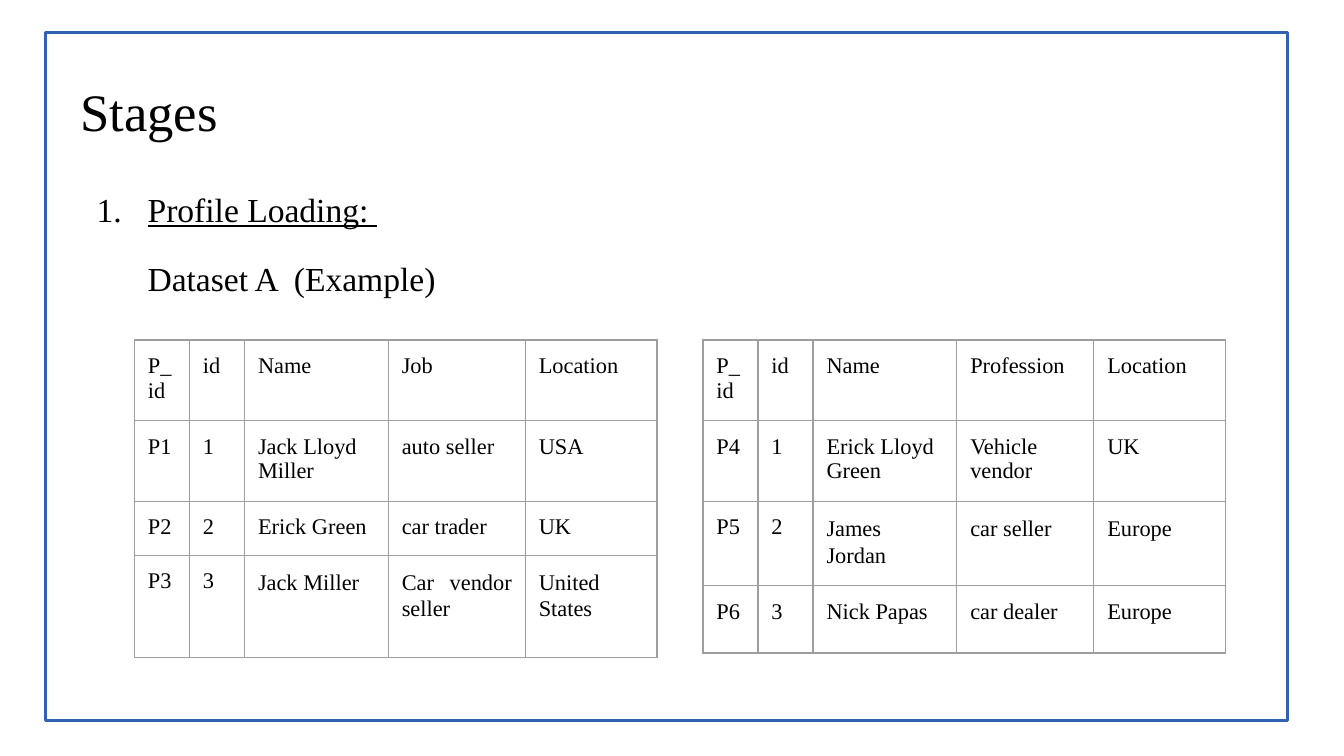
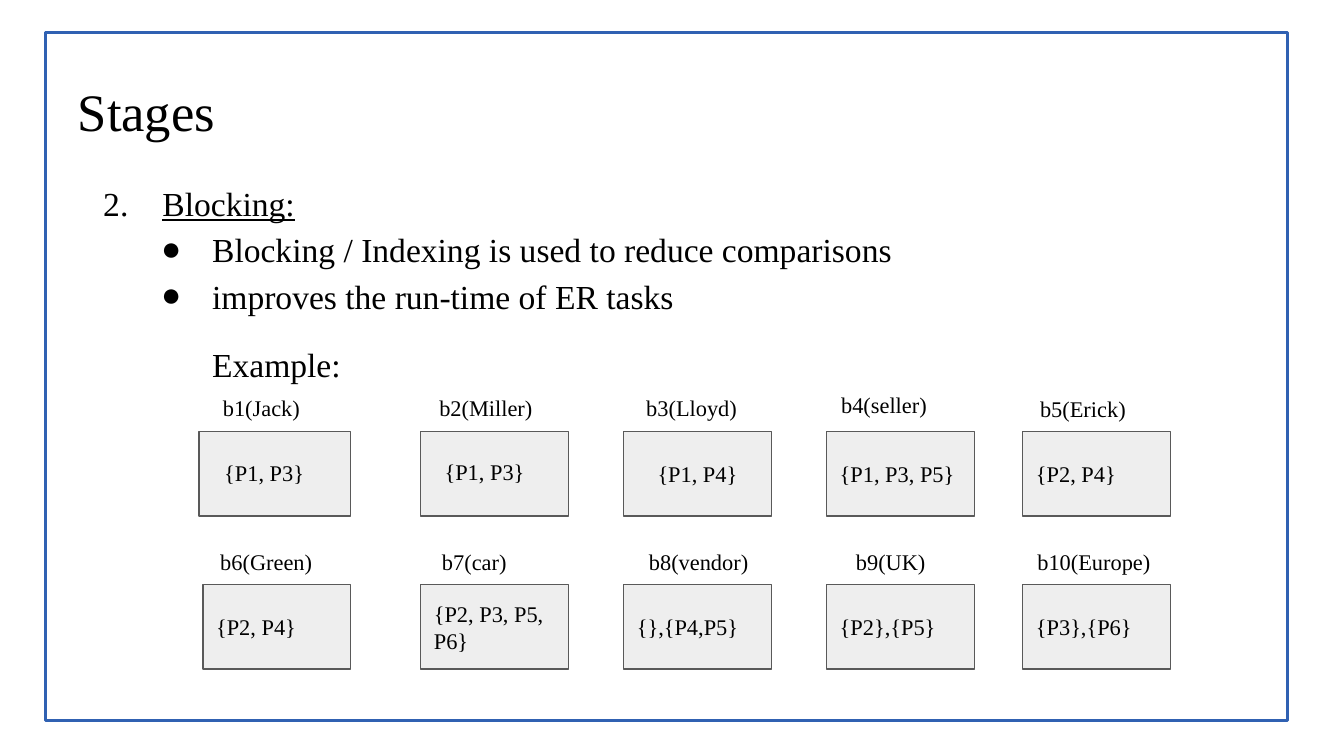
import pptx
import pptx.util
import pptx.dml.color
import pptx.enum.shapes
import pptx.enum.text
import pptx.oxml
import pptx.oxml.ns

COLOURS = {"text": "000000", "frame": "3061B2", "grid": "9E9E9E", "box": "EEEEEE", "box_line": "595959"}
FONT = "Times New Roman"
ANCHOR = pptx.enum.text.MSO_ANCHOR
ALIGN = pptx.enum.text.PP_ALIGN
NAMESPACE = pptx.oxml.ns.nsdecls("a")


def inches(value):
    """Turn inches into a length given in centimetres."""
    return pptx.util.Cm(value * 2.54)


def colour(name):
    """Look up a named colour."""
    return pptx.dml.color.RGBColor.from_string(COLOURS[name])


class Deck:
    """Holds the style and the current slide."""

    def __init__(self):
        """Start an empty presentation."""
        self.presentation = pptx.Presentation()
        self.presentation.slide_width = inches(10)
        self.presentation.slide_height = inches(5.625)
        self.slide = None

    def start(self, title, left, width):
        """Add a blank slide with its title."""
        self.slide = self.presentation.slides.add_slide(self.presentation.slide_layouts[6])
        self.label(title, left, 0.49, width, 0.63, size=28.2)

    def style(self, paragraph, size, underline=None):
        """Set the shared font on a paragraph."""
        paragraph.font.name = FONT
        paragraph.font.size = pptx.util.Pt(size)
        paragraph.font.color.rgb = colour("text")
        paragraph.font.underline = underline

    def frame_text(self, frame, anchor=ANCHOR.TOP):
        """Set wrapping, margins and anchor of a text frame."""
        frame.word_wrap = True
        frame.vertical_anchor = anchor
        frame.margin_left = frame.margin_right = inches(0.1)
        frame.margin_top = frame.margin_bottom = inches(0.1)

    def label(self, text, left, top, width, height=0.4, size=12):
        """Add a one-paragraph text box."""
        shape = self.slide.shapes.add_textbox(*map(inches, (left, top, width, height)))
        self.frame_text(shape.text_frame)
        paragraph = shape.text_frame.paragraphs[0]
        paragraph.text = text
        self.style(paragraph, size)

    def body(self, left, top, width, height, lines):
        """Add body text from (text, margin, indent, bullet, spacing, before, underline) lines."""
        shape = self.slide.shapes.add_textbox(*map(inches, (left, top, width, height)))
        frame = shape.text_frame
        self.frame_text(frame)
        for index, (text, margin, indent, bullet, spacing, before, underline) in enumerate(lines):
            paragraph = frame.add_paragraph() if index else frame.paragraphs[0]
            paragraph.text = text
            paragraph.line_spacing = spacing
            paragraph.space_before = pptx.util.Pt(before)
            self.style(paragraph, 18, underline)
            self.bullet(paragraph, margin, indent, bullet)

    def bullet(self, paragraph, margin, indent, bullet):
        """Indent a paragraph and give it a number or a bullet sign."""
        properties = paragraph._p.get_or_add_pPr()
        properties.set("marL", str(inches(margin)))
        properties.set("indent", str(inches(indent)))
        if isinstance(bullet, int):
            marks = [f'<a:buFont {NAMESPACE} typeface="{FONT}"/>',
                     f'<a:buAutoNum {NAMESPACE} type="arabicPeriod" startAt="{bullet}"/>']
        elif bullet:
            marks = [f'<a:buFont {NAMESPACE} typeface="{FONT}"/>',
                     f'<a:buChar {NAMESPACE} char="{bullet}"/>']
        else:
            marks = [f"<a:buNone {NAMESPACE}/>"]
        default = properties.find(pptx.oxml.ns.qn("a:defRPr"))
        for mark in marks:
            default.addprevious(pptx.oxml.parse_xml(mark))

    def rectangle(self, left, top, width, height, line, weight, fill=None, text=None, align=ALIGN.LEFT):
        """Add an outlined rectangle, filled and captioned if asked."""
        kind = pptx.enum.shapes.MSO_SHAPE.RECTANGLE
        shape = self.slide.shapes.add_shape(kind, *map(inches, (left, top, width, height)))
        shape.shadow.inherit = False
        shape.line.color.rgb = colour(line)
        shape.line.width = pptx.util.Pt(weight)
        if fill:
            shape.fill.solid()
            shape.fill.fore_color.rgb = colour(fill)
        else:
            shape.fill.background()
        if text:
            self.frame_text(shape.text_frame, ANCHOR.MIDDLE)
            paragraph = shape.text_frame.paragraphs[0]
            paragraph.text = text
            paragraph.alignment = align
            self.style(paragraph, 12)

    def border(self):
        """Draw the frame around the slide."""
        self.rectangle(0.34, 0.24, 9.24, 5.12, "frame", 1.5)

    def table(self, left, top, widths, heights, rows, justified_row):
        """Add a plain grid; one row has its last three cells justified."""
        shape = self.slide.shapes.add_table(
            len(rows), len(widths), *map(inches, (left, top, sum(widths), sum(heights))))
        table = shape.table
        table.first_row = table.horz_banding = False
        for column, width in zip(table.columns, widths):
            column.width = inches(width)
        for row, height in zip(table.rows, heights):
            row.height = inches(height)
        for row_index, texts in enumerate(rows):
            for column_index, text in enumerate(texts):
                justified = row_index == justified_row and column_index >= 2
                self.cell(table.cell(row_index, column_index), text, justified)

    def cell(self, cell, text, justified):
        """Fill in one table cell and draw its borders."""
        cell.margin_left = cell.margin_right = inches(0.1)
        cell.margin_top = cell.margin_bottom = inches(0.1)
        paragraph = cell.text_frame.paragraphs[0]
        paragraph.text = text
        self.style(paragraph, 12)
        if justified:
            paragraph.alignment = ALIGN.JUSTIFY
            paragraph.line_spacing = 1.07
        properties = cell._tc.get_or_add_tcPr()
        for side in ("lnL", "lnR", "lnT", "lnB"):
            properties.append(pptx.oxml.parse_xml(
                f'<a:{side} {NAMESPACE} w="9525"><a:solidFill>'
                f'<a:srgbClr val="{COLOURS["grid"]}"/></a:solidFill></a:{side}>'))
        cell.fill.background()


deck = Deck()

deck.start("Stages", 0.5, 8.93)
deck.body(0.5, 1.26, 8.93, 3.74, [
    ("Profile Loading: ", 0.5, -0.38, 1, 1.15, 0, True),
    ("Dataset A  (Example)", 0.5, 0, None, 1.15, 12, None),
])
column_widths = (0.41, 0.41, 1.07, 1.02, 0.98)
deck.table(1, 2.53, column_widths, (0.57, 0.57, 0.4, 0.76), [
    ("P_id", "id", "Name", "Job", "Location"),
    ("P1", "1", "Jack Lloyd Miller", "auto seller", "USA"),
    ("P2", "2", "Erick Green", "car trader", "UK"),
    ("P3", "3", "Jack Miller", "Car vendor seller", "United States "),
], 3)
deck.table(5.23, 2.53, column_widths, (0.5, 0.58, 0.61, 0.5), [
    ("P_id", "id", "Name", "Profession", "Location"),
    ("P4", "1", "Erick Lloyd Green", "Vehicle vendor", "UK"),
    ("P5", "2", "James Jordan", "car seller", "Europe"),
    ("P6", "3", "Nick Papas", "car dealer", "Europe"),
], 2)
deck.border()

deck.start("Stages", 0.48, 9.18)
deck.body(0.48, 1.11, 8.88, 4.28, [
    ("Blocking:", 0.63, -0.44, 2, 1.5, 0, True),
    ("Blocking / Indexing is used to reduce comparisons", 1, -0.38, "●", 1.15, 0, None),
    ("improves the run-time of ER tasks", 1, -0.38, "●", 1.15, 0, None),
    ("Example:", 1, 0, None, 1.15, 12, None),
])
box_lefts = (3.13, 4.64, 6.15, 7.61)
first_row = (None, "{P1, P4}", "{P1, P3, P5}", "{P2, P4}")
second_row = ("{P2, P3, P5, P6}", "{},{P4,P5}", "{P2},{P5}", "{P3},{P6}")
deck.rectangle(1.48, 3.21, 1.13, 0.63, "box_line", 0.75, "box")
deck.rectangle(1.51, 4.35, 1.1, 0.63, "box_line", 0.75, "box", "{P2, P4}")
for top, texts in ((3.21, first_row), (4.35, second_row)):
    for left, text in zip(box_lefts, texts):
        align = ALIGN.CENTER if text == "{P1, P4}" else ALIGN.LEFT
        deck.rectangle(left, top, 1.1, 0.63, "box_line", 0.75, "box", text, align)
for text, left, top, width in (
    ("b1(Jack)", 1.56, 2.83, 0.98),
    ("b2(Miller)", 3.17, 2.83, 1.02),
    ("b3(Lloyd)", 4.71, 2.83, 1.08),
    ("b4(seller)", 6.16, 2.81, 1.02),
    ("b5(Erick)", 7.64, 2.84, 1.05),
    ("b6(Green)", 1.54, 3.98, 0.98),
    ("b7(car)", 3.19, 3.98, 0.98),
    ("b8(vendor)", 4.73, 3.98, 1.05),
    ("b9(UK)", 6.27, 3.98, 0.98),
    ("b10(Europe)", 7.62, 3.98, 1.05),
    ("{P1, P3}", 1.57, 3.32, 0.92),
    ("{P1, P3}", 3.21, 3.31, 0.94),
):
    deck.label(text, left, top, width)
deck.border()

deck.presentation.save("out.pptx")
